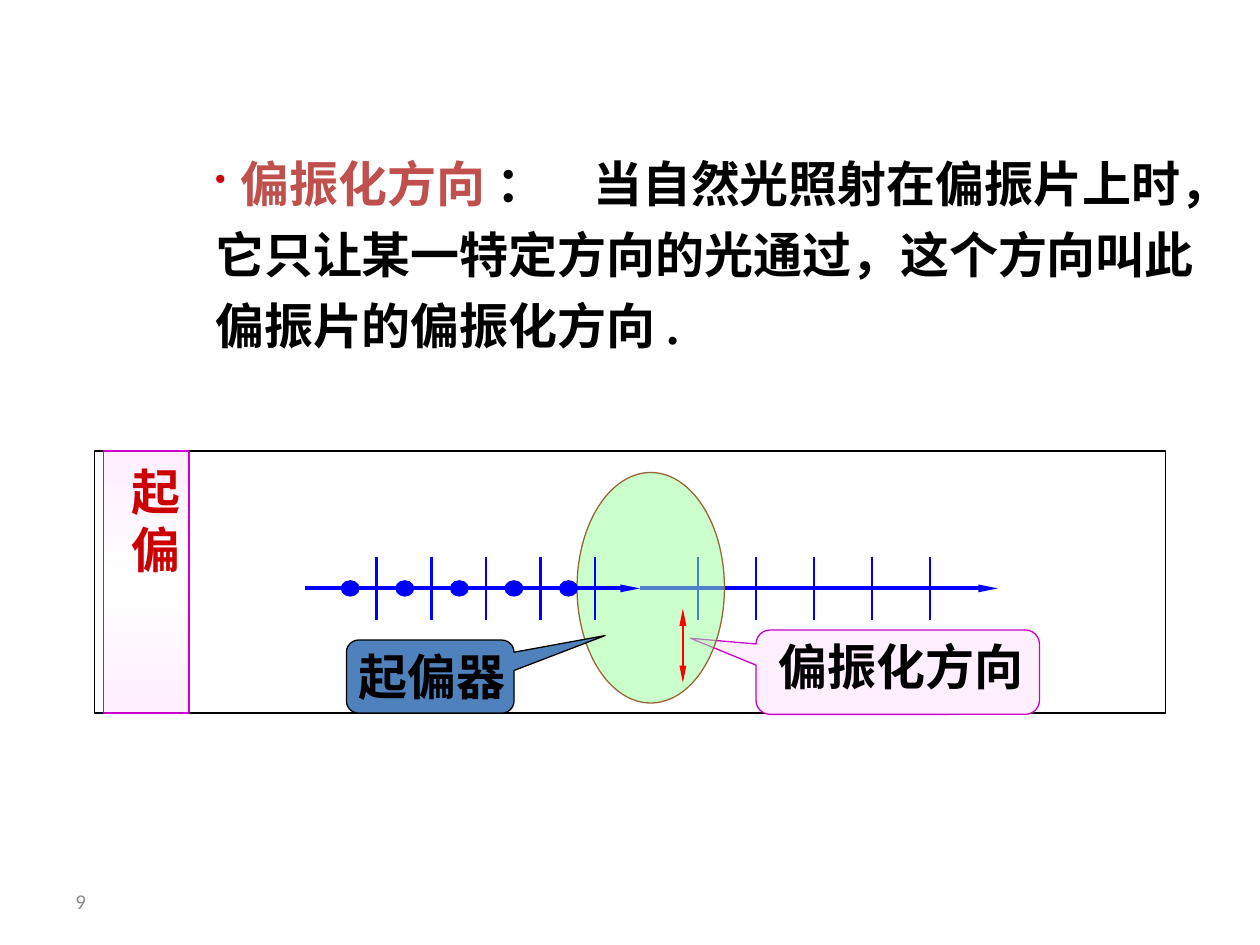
from lxml import etree
from pptx import Presentation
from pptx.dml.color import RGBColor
from pptx.enum.shapes import MSO_CONNECTOR, MSO_SHAPE as SHAPE
from pptx.enum.text import MSO_ANCHOR
from pptx.oxml import parse_xml
from pptx.oxml.ns import nsdecls, qn
from pptx.util import Inches, Pt

BLACK, WHITE = RGBColor(0, 0, 0), RGBColor(255, 255, 255)
BLUE, RED = RGBColor(0, 0, 255), RGBColor(255, 0, 0)
DARK_RED, BRICK = RGBColor(0xCC, 0, 0), RGBColor(0xC0, 0x50, 0x4D)
PINK, MAGENTA = RGBColor(0xFF, 0xEF, 0xFF), RGBColor(0xCC, 0, 0xCC)
GREEN, BROWN = RGBColor(0x99, 0xFF, 0x99), RGBColor(0x99, 0x66, 0x33)
STEEL, GREY = RGBColor(0x4F, 0x81, 0xBD), RGBColor(0x8C, 0x8C, 0x8C)
SERIF = "Times New Roman"

# Content: text, size, colour of each run
DEFINITION = [
    ("\t", 18, DARK_RED),
    ("偏振化方向", 28, BRICK),
    (" ：\t当自然光照射在偏振片上时，它只让某一特定方向的光通过，"
     "这个方向叫此偏振片的偏振化方向 .", 28, BLACK),
]
TAB_STOPS = (0.2, 3)
SIDE_TITLE = "起 偏"
# Callouts: box, pointer adjustments, fill, line, label, label box
POLARIZER = ((2.75, 5.08, 1.33, 0.58), (1.044, -0.562, 0.167), STEEL, BLACK,
             "起偏器", (2.75, 5.08, 1.92, 0.57))
DIRECTION = ((6, 5, 2.25, 0.67), (-0.731, -0.401, 0.167), PINK, MAGENTA,
             "偏振化方向", (6.08, 5, 2.92, 0.57))
# Rays: start, end, first tick, tick step
RAY_IN = (2.42, 5.08, 2.99, 0.433)
RAY_OUT = (5.08, 7.92, 5.54, 0.46)
AXIS_Y, TICK, MARKS = 4.67, 0.25, 5
DOT_X, DOT_W, DOT_H = 2.71, 0.14, 0.12

prs = Presentation()
prs.slide_width, prs.slide_height = Inches(10), Inches(7.5)
slide = prs.slides.add_slide(prs.slide_layouts[6])


def add_run(p, text, size, color, font=SERIF, bold=True):
    r = p.add_run()
    r.text = text
    f = r.font
    f.name, f.size, f.bold, f.color.rgb = font, Pt(size), bold, color


def add_text(box, runs, **style):
    tf = slide.shapes.add_textbox(*map(Inches, box)).text_frame
    tf.word_wrap = True
    for text, size, color in runs:
        add_run(tf.paragraphs[0], text, size, color, **style)
    return tf


def add_shape(kind, box, fill, line):
    sp = slide.shapes.add_shape(kind, *map(Inches, box))
    sp.shadow.inherit = False
    sp.fill.solid()
    sp.fill.fore_color.rgb = fill
    sp.line.color.rgb, sp.line.width = line, Pt(0.75)
    return sp


def add_line(x1, y1, x2, y2, color, width, heads=()):
    c = slide.shapes.add_connector(MSO_CONNECTOR.STRAIGHT, *map(Inches, (x1, y1, x2, y2)))
    c.line.color.rgb, c.line.width = color, Pt(width)
    ln = c.line._get_or_add_ln()
    for head in heads:
        etree.SubElement(ln, qn(f"a:{head}"), type="triangle", w="sm", len="lg")
    etree.SubElement(c._element.spPr, qn("a:effectLst"))


def add_ray(start, end, first, step):
    add_line(start, AXIS_Y, end, AXIS_Y, BLUE, 2.25, ["tailEnd"])
    for i in range(MARKS):
        x = first + i * step
        add_line(x, AXIS_Y - TICK, x, AXIS_Y + TICK, BLUE, 1.5)


def add_callout(box, adjustments, fill, line, label, label_box):
    sp = add_shape(SHAPE.ROUNDED_RECTANGULAR_CALLOUT, box, fill, line)
    for i, value in enumerate(adjustments):
        sp.adjustments[i] = value
    add_text(label_box, [(label, 28, BLACK)])


# Page number
tf = add_text((0.5, 6.95, 2.33, 0.4), [("9", 12, GREY)], font="Calibri", bold=False)
tf.vertical_anchor = MSO_ANCHOR.MIDDLE

# Frame and side title
add_shape(SHAPE.RECTANGLE, (0.75, 3.58, 8.5, 2.08), WHITE, BLACK)
side = add_shape(SHAPE.RECTANGLE, (0.82, 3.58, 0.68, 2.08), PINK, MAGENTA)
stops = "".join(f'<a:gs pos="{pos}000"><a:srgbClr val="{color}"/></a:gs>'
                for pos, color in ((0, PINK), (50, WHITE), (100, PINK)))
solid = side._element.spPr.find(qn("a:solidFill"))
solid.getparent().replace(solid, parse_xml(
    f'<a:gradFill {nsdecls("a")}><a:gsLst>{stops}</a:gsLst>'
    '<a:lin ang="5400000" scaled="0"/></a:gradFill>'))
tf = side.text_frame
tf.word_wrap, tf.vertical_anchor = True, MSO_ANCHOR.TOP
tf.margin_left, tf.margin_right, tf.margin_top = Inches(0.22), 0, Inches(0.08)
p = tf.paragraphs[0]
p.alignment = 1
add_run(p, SIDE_TITLE, 28, DARK_RED)

# Definition with its bullet
p = add_text((1.61, 1.08, 7.97, 1.8), DEFINITION).paragraphs[0]
p.line_spacing = 1.2
pPr = p._p.get_or_add_pPr()
etree.SubElement(pPr, qn("a:buChar"), char="•")
tabs = etree.SubElement(pPr, qn("a:tabLst"))
for stop in TAB_STOPS:
    etree.SubElement(tabs, qn("a:tab"), pos=str(Inches(stop)), algn="l")

# Polarized ray, seen through the polarizer
add_ray(*RAY_OUT)
add_callout(*DIRECTION)

# Polarizer and its direction
lens = add_shape(SHAPE.OVAL, (4.58, 3.75, 1.17, 1.83), GREEN, BROWN)
color = lens._element.spPr.find(qn("a:solidFill"))[0]
etree.SubElement(color, qn("a:alpha"), val="50000")
add_line(5.42, 5.42, 5.42, 4.83, RED, 1.5, ["headEnd", "tailEnd"])

# Natural ray with dots between the ticks
add_ray(*RAY_IN)
for i in range(MARKS):
    add_shape(SHAPE.OVAL, (DOT_X + i * RAY_IN[3], AXIS_Y - DOT_H / 2, DOT_W, DOT_H), BLUE, BLUE)
add_callout(*POLARIZER)

prs.save("out.pptx")
